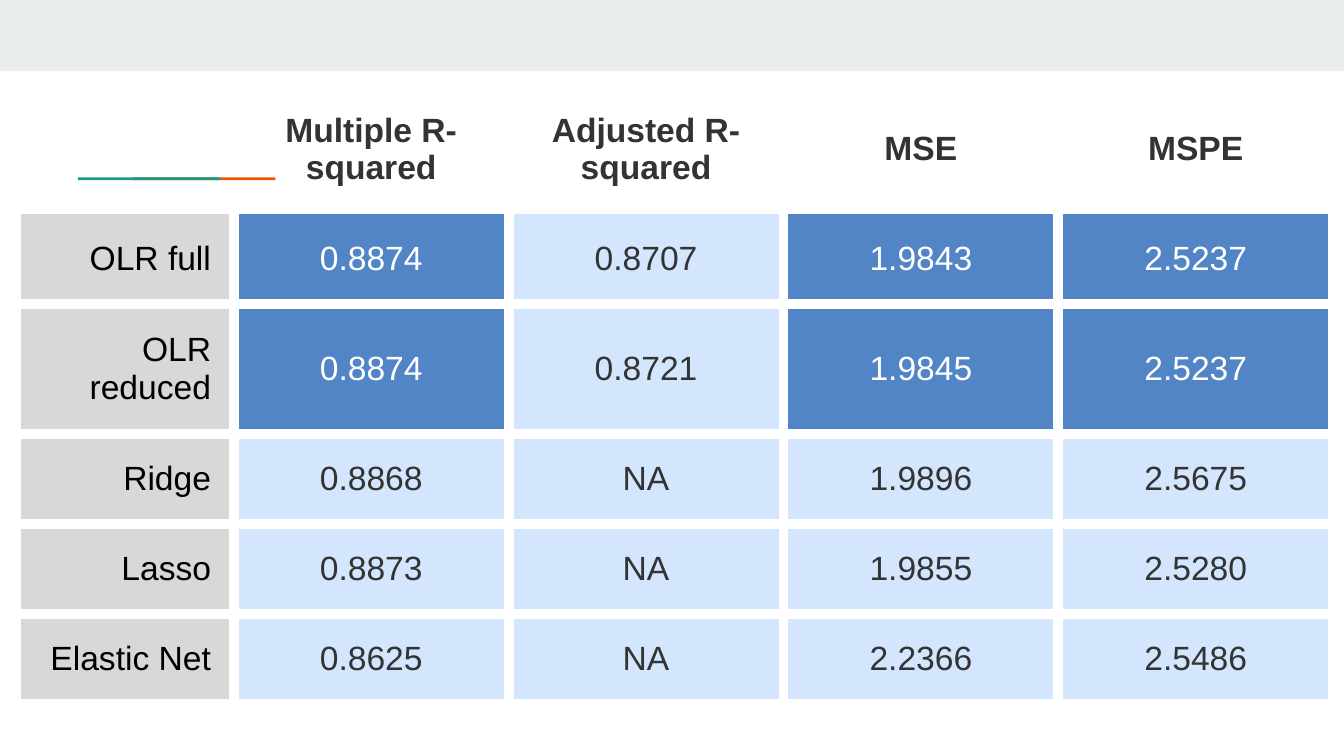
from dataclasses import dataclass

from lxml import etree
from pptx import Presentation
from pptx.dml.color import RGBColor
from pptx.enum import shapes, text
from pptx.oxml import ns
from pptx.util import Inches, Pt


@dataclass(frozen=True)
class Theme:
    font: str = "Arial"
    size: int = 18
    border: int = 6
    band: str = "E9EDEE"
    orange: str = "EB5600"
    teal: str = "1A9988"
    label: str = "D8D8D8"
    best: str = "5285C6"
    value: str = "D3E6FD"
    ink: str = "333333"
    black: str = "000000"
    white: str = "FFFFFF"


theme = Theme()


def add_bar(x, y, w, h, color):
    sp = s.shapes.add_shape(shapes.MSO_SHAPE.RECTANGLE, Inches(x), Inches(y), Inches(w), Inches(h))
    sp.shadow.inherit = False
    sp.fill.solid()
    sp.fill.fore_color.rgb = RGBColor.from_string(color)
    sp.line.fill.background()


def set_borders(cell, visible):
    tcPr = cell._tc.get_or_add_tcPr()
    for i, side in enumerate(("lnL", "lnR", "lnT", "lnB")):
        ln = etree.Element(ns.qn(f"a:{side}"), w=str(Pt(theme.border)))
        if side in visible:
            fill = etree.SubElement(ln, ns.qn("a:solidFill"))
            etree.SubElement(fill, ns.qn("a:srgbClr"), val=theme.white)
        else:
            etree.SubElement(ln, ns.qn("a:noFill"))
        tcPr.insert(i, ln)


prs = Presentation()
prs.slide_width = Inches(10)
prs.slide_height = Inches(10 * 9 / 16)
s = prs.slides.add_slide(prs.slide_layouts[6])

add_bar(0, 0, 10, 0.53, theme.band)
add_bar(0.99, 1.32, 1.06, 0.02, theme.orange)
add_bar(0.58, 1.32, 1.06, 0.02, theme.teal)

rows = [
    ["", "Multiple R-squared", "Adjusted R-squared", "MSE", "MSPE"],
    ["OLR full", "0.8874", "0.8707", "1.9843", "2.5237"],
    ["OLR reduced", "0.8874", "0.8721", "1.9845", "2.5237"],
    ["Ridge", "0.8868", "NA", "1.9896", "2.5675"],
    ["Lasso", "0.8873", "NA", "1.9855", "2.5280"],
    ["Elastic Net", "0.8625", "NA", "2.2366", "2.5486"],
]
widths = [1.62] + [8.18 / 4] * 4
heights = [0.96, 0.67, 0.97, 0.67, 0.67, 0.67]
highlighted = {(r, c) for r in (1, 2) for c in (1, 3, 4)}

frame = s.shapes.add_table(
    len(rows), len(widths), Inches(0.12), Inches(0.63), Inches(sum(widths)), Inches(sum(heights))
)
table = frame.table
table.first_row = False
table.horz_banding = False
for column, width in zip(table.columns, widths):
    column.width = Inches(width)
for row, height in zip(table.rows, heights):
    row.height = Inches(height)

for i, row in enumerate(rows):
    for j, content in enumerate(row):
        cell = table.cell(i, j)
        cell.vertical_anchor = text.MSO_ANCHOR.MIDDLE
        cell.margin_left = cell.margin_right = Inches(0.17)
        cell.margin_top = cell.margin_bottom = Inches(0.09)

        if i == 0:
            fill, color = None, theme.ink
        elif j == 0:
            fill, color = theme.label, theme.black
        elif (i, j) in highlighted:
            fill, color = theme.best, theme.white
        else:
            fill, color = theme.value, theme.ink

        if fill:
            cell.fill.solid()
            cell.fill.fore_color.rgb = RGBColor.from_string(fill)
        else:
            cell.fill.background()

        if i == 0:
            set_borders(cell, ())
        elif i == 1:
            set_borders(cell, ("lnL", "lnR", "lnB"))
        else:
            set_borders(cell, ("lnL", "lnR", "lnT", "lnB"))

        p = cell.text_frame.paragraphs[0]
        p.text = content
        p.alignment = text.PP_ALIGN.RIGHT if i and j == 0 else text.PP_ALIGN.CENTER
        for r in p.runs:
            r.font.name = theme.font
            r.font.size = Pt(theme.size)
            r.font.bold = i == 0
            r.font.color.rgb = RGBColor.from_string(color)

prs.save("out.pptx")
